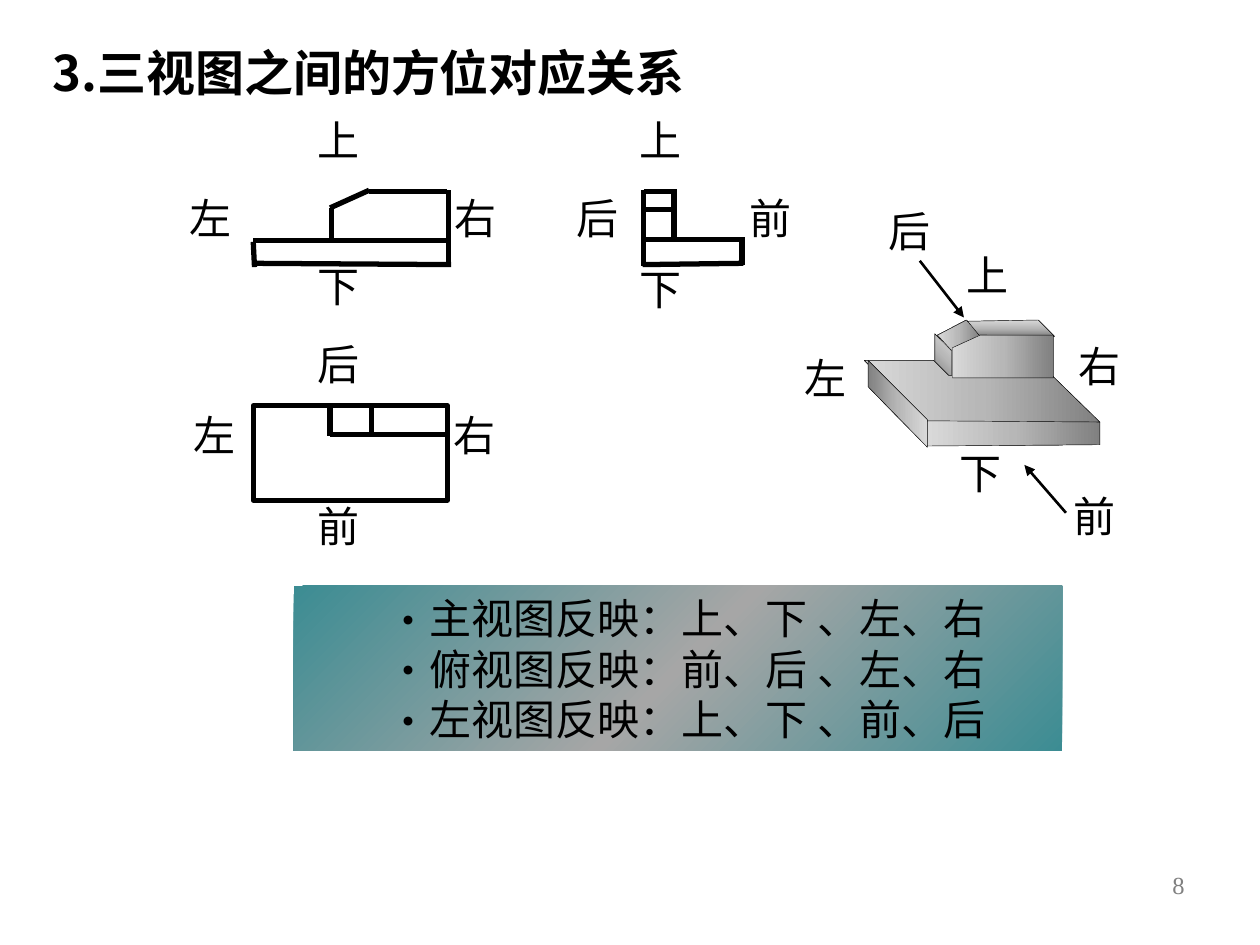
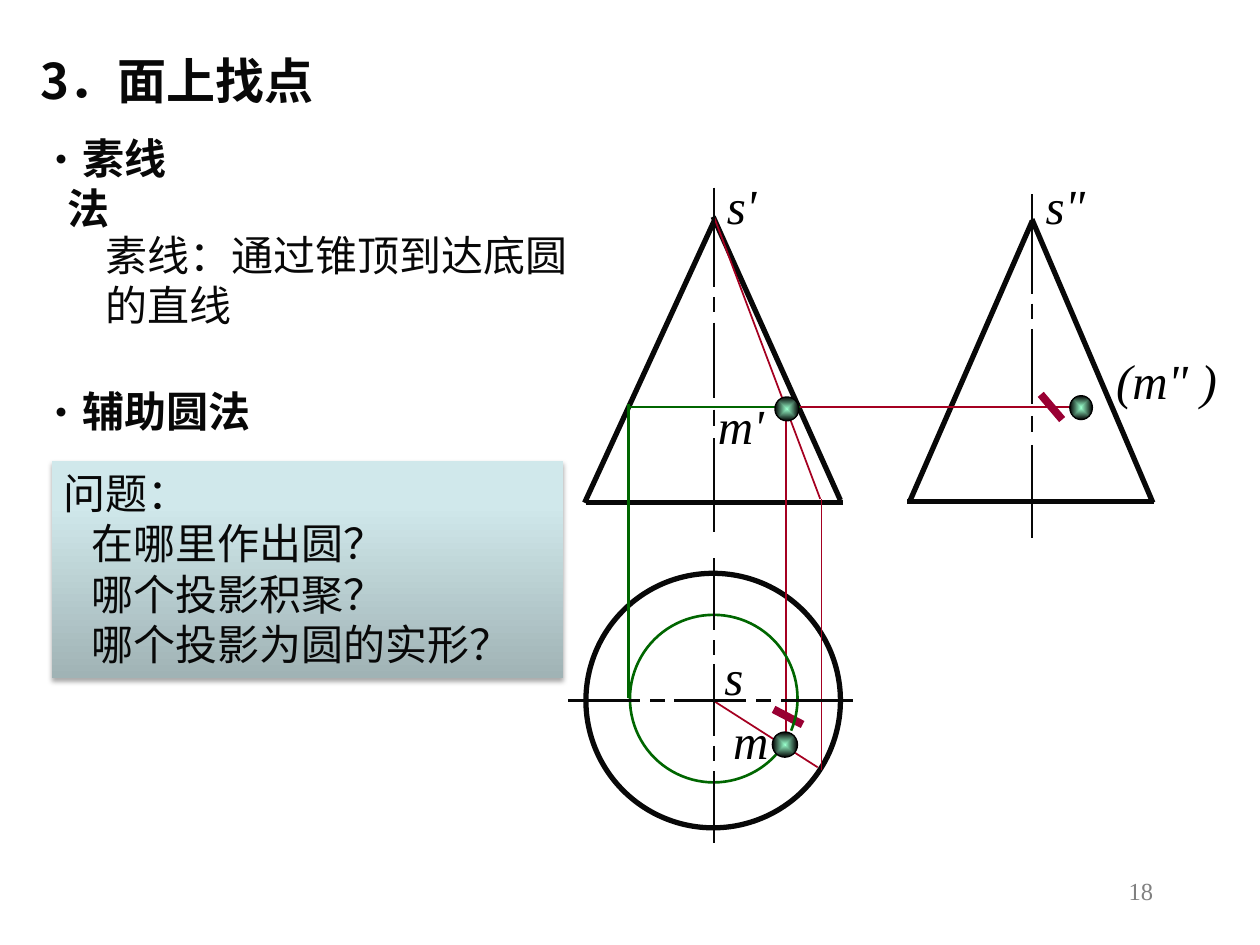
from pptx import Presentation
from pptx.dml.color import RGBColor
from pptx.enum.shapes import MSO_CONNECTOR, MSO_SHAPE
from pptx.enum.text import MSO_ANCHOR, PP_ALIGN
from pptx.oxml import parse_xml
from pptx.oxml.ns import nsdecls, qn
from pptx.util import Inches, Pt

# Shared style
CHINESE, LATIN = "Noto Sans CJK SC", "Times New Roman"
BLACK, INK, GRAY = "000000", "080808", "808080"
RED, MARK_RED, GREEN = "A50021", "990033", "006600"
TEAL_BAND = [(0, "3C8C93"), (50, "A6A6A6"), (100, "3C8C93")]
METAL = [(0, "808080"), (50, "B7B7B7"), (100, "D9D9D9")]
PALE_BLUE = [(0, "A0B3B5"), (80, "D0E8EB"), (100, "D1EAEC")]
BALL = [(0, "99FFCC"), (100, "000000")]

# Slide 1: the three views and the solid
VIEW_TITLE = "3.三视图之间的方位对应关系"
VIEW_SUMMARY = ["主视图反映：上、下 、左、右",
                "俯视图反映：前、后 、左、右",
                "左视图反映：上、下 、前、后"]
DIRECTIONS = [  # word, left, top
    ("上", 2.42, 0.86), ("下", 2.42, 2.02), ("左", 1.41, 1.48), ("右", 3.51, 1.48),
    ("后", 2.42, 2.64), ("前", 2.42, 3.92), ("左", 1.44, 3.2), ("右", 3.5, 3.2),
    ("上", 4.98, 0.86), ("下", 4.98, 2.04), ("后", 4.48, 1.48), ("前", 5.85, 1.48),
    ("上", 7.57, 1.93), ("下", 7.52, 3.5), ("左", 6.29, 2.75), ("右", 8.46, 2.65),
    ("前", 8.42, 3.84), ("后", 6.95, 1.58),
]
TOP_VIEW_FRAME = (2.01, 3.22, 1.54, 0.75)
VIEW_EDGES = [  # x1, y1, x2, y2
    # front view
    (3.58, 2.1, 2.01, 2.09), (2.02, 2.12, 2.01, 1.92), (3.56, 2.1, 3.56, 1.51),
    (3.55, 1.52, 2.93, 1.52), (2.63, 1.92, 2.63, 1.65), (2.62, 1.65, 2.93, 1.51),
    (2.01, 1.91, 3.57, 1.91),
    # top view
    (2.62, 3.45, 3.57, 3.45), (2.62, 3.46, 2.62, 3.23), (2.95, 3.23, 2.95, 3.45),
    # left view
    (5.11, 2.11, 5.11, 1.51), (5.89, 2.1, 5.89, 1.9), (5.11, 1.9, 5.91, 1.9),
    (5.1, 2.1, 5.9, 2.09), (5.11, 1.52, 5.37, 1.52), (5.11, 1.66, 5.37, 1.66),
    (5.35, 1.5, 5.35, 1.9),
]
VIEW_ARROWS = [(7.3, 2.07, 7.65, 2.52), (8.46, 4.07, 8.13, 3.69)]
SOLID_FACES = [  # gradient angle, corners
    (315, [(7.42, 2.65), (7.42, 2.87), (7.55, 3), (7.55, 2.78)]),
    (180, [(7.44, 2.66), (7.67, 2.54), (7.78, 2.66), (7.55, 2.78)]),
    (270, [(7.68, 2.55), (8.24, 2.54), (8.37, 2.67), (7.77, 2.66)]),
    (180, [(7.41, 2.86), (7.53, 2.98), (8.36, 2.99), (8.73, 3.35), (7.35, 3.35),
           (6.86, 2.86)]),
    (180, [(7.56, 2.76), (7.56, 3), (8.36, 3), (8.36, 2.66), (7.78, 2.66)]),
    (0, [(6.89, 2.86), (6.89, 3.07), (7.36, 3.55), (7.36, 3.33)]),
    (180, [(7.36, 3.34), (8.73, 3.35), (8.73, 3.53), (7.36, 3.54)]),
]

# Slide 2: points on a cone
CONE_TITLE = "3．面上找点"
METHODS = [("素线法", 1.2, 1.39), ("辅助圆法", 3.01, 2.31)]  # word, top, width
DEFINITION = "素线：通过锥顶到达底圆的直线"
QUESTIONS = ["问题：", "在哪里作出圆？", "哪个投影积聚？", "哪个投影为圆的实形？"]
BASE_CIRCLE = (4.65, 4.55, 2.02, 2.02)
HELPER_CIRCLE = (5, 4.88, 1.33, 1.33)
HELPER_GAP = (22.5, 34)  # degrees left open in the helper circle
CONE_LINES = [  # colour, width, segments
    (INK, 3, [(4.65, 3.99, 6.69, 3.99), (4.64, 3.99, 5.67, 1.75), (6.67, 3.97, 5.66, 1.72),
              (7.2, 3.98, 9.16, 3.98), (7.22, 3.98, 8.19, 1.76), (9.15, 3.99, 8.19, 1.74)]),
    (RED, 1, [(6.49, 6.09, 5.66, 5.56), (6.52, 6.11, 6.52, 3.96), (6.51, 3.96, 5.67, 1.73),
              (6.24, 5.98, 6.24, 3.21), (6.21, 3.23, 8.61, 3.23)]),
    (MARK_RED, 4.5, [(6.14, 5.63, 6.37, 5.75), (8.26, 3.13, 8.43, 3.33)]),
    (GREEN, 1.5, [(4.99, 5.54, 4.99, 3.21), (4.98, 3.23, 6.35, 3.23)]),
]
POINTS = [(8.49, 3.14, 0.18, 0.19), (6.13, 5.81, 0.2, 0.2), (6.15, 3.15, 0.19, 0.19)]
POINT_NAMES = [  # name, left, top, width
    ("s'", 5.67, 1.34, 0.44), ('s"', 8.2, 1.34, 0.52), ("s", 5.65, 5.08, 0.35),
    ("m", 5.72, 5.59, 0.49), ("m'", 5.6, 3.09, 0.57), ('(m" )', 8.76, 2.73, 1.05),
]
# Centre lines: dash and gap lengths in turn
CIRCLE_DASHES = [0.57, 0.08, 0.12, 0.07, 0.57, 0.08, 0.12, 0.08, 0.57]
CONE_DASHES = [0.79, 0.08, 0.12, 0.08, 0.6, 0.09, 0.13, 0.1, 0.74]
CENTRE_LINES = [  # start x, start y, upright, dashes
    (4.51, 5.56, False, CIRCLE_DASHES), (5.67, 4.43, True, CIRCLE_DASHES),
    (5.67, 1.49, True, CONE_DASHES), (8.19, 1.54, True, CONE_DASHES),
]


def color(value):
    return RGBColor.from_string(value)


def lengths(values):
    return [Inches(value) for value in values]


def indent(para, left, first=0):
    properties = para._p.get_or_add_pPr()
    properties.set("marL", str(Inches(left)))
    properties.set("indent", str(Inches(first)))
    return properties


def add_bullet(para, left, hang):
    properties = indent(para, left, -hang)
    properties.append(parse_xml(f'<a:buFont {nsdecls("a")} typeface="{CHINESE}"/>'))
    properties.append(parse_xml(f'<a:buChar {nsdecls("a")} char="•"/>'))


def write(frame, lines, size, ink, font=CHINESE, bold=False, italic=False,
          align=PP_ALIGN.LEFT, anchor=MSO_ANCHOR.TOP, wrap=True):
    """Fill a text frame with one paragraph per line and return the paragraphs."""
    frame.word_wrap = wrap
    frame.vertical_anchor = anchor
    for number, line in enumerate(lines):
        para = frame.add_paragraph() if number else frame.paragraphs[0]
        para.alignment = align
        if font == CHINESE:
            para.line_spacing = Pt(size * 1.2)
        span = para.add_run()
        span.text = line
        span.font.size, span.font.name = Pt(size), font
        span.font.bold, span.font.italic = bold, italic
        span.font.color.rgb = color(ink)
        east_asian = parse_xml(f'<a:ea {nsdecls("a")} typeface="{font}"/>')
        span._r.get_or_add_rPr().find(qn("a:latin")).addnext(east_asian)
    return frame.paragraphs


def add_text(page, place, line, size, ink, **style):
    box = page.shapes.add_textbox(*lengths(place))
    return write(box.text_frame, [line], size, ink, **style)[0]


def paint(shape, stops=None, angle=None, line=None, width=1):
    """Give a gradient (linear, or from the centre without an angle) and an outline."""
    shape.shadow.inherit = False
    shape.fill.background()
    if stops:
        marks = "".join(f'<a:gs pos="{place * 1000}"><a:srgbClr val="{value}"/></a:gs>'
                        for place, value in stops)
        if angle is None:
            course = ('<a:path path="shape"><a:fillToRect l="50000" t="50000" '
                      'r="50000" b="50000"/></a:path>')
        else:
            course = f'<a:lin ang="{angle * 60000}" scaled="0"/>'
        gradient = parse_xml(f'<a:gradFill {nsdecls("a")} rotWithShape="1">'
                             f'<a:gsLst>{marks}</a:gsLst>{course}</a:gradFill>')
        properties = shape._element.spPr
        properties.replace(properties.find(qn("a:noFill")), gradient)
    if line:
        shape.line.color.rgb = color(line)
        shape.line.width = Pt(width)
    else:
        shape.line.fill.background()


def add_shape(page, kind, place, **look):
    shape = page.shapes.add_shape(kind, *lengths(place))
    paint(shape, **look)
    return shape


def add_line(page, ends, ink, width, arrow=False):
    line = page.shapes.add_connector(MSO_CONNECTOR.STRAIGHT, *lengths(ends))
    line.line.color.rgb = color(ink)
    line.line.width = Pt(width)
    if arrow:
        line.line._get_or_add_ln().append(
            parse_xml(f'<a:tailEnd {nsdecls("a")} type="triangle"/>'))
    line._element.spPr.append(parse_xml(f'<a:effectLst {nsdecls("a")}/>'))


def add_page(deck, title, title_place, title_ink, number, number_place):
    page = deck.slides.add_slide(deck.slide_layouts[6])
    add_text(page, title_place, title, 28, title_ink, bold=True, anchor=MSO_ANCHOR.MIDDLE)
    add_text(page, number_place, number, 14, GRAY, font=LATIN, align=PP_ALIGN.RIGHT)
    return page


def build_views(deck):
    page = add_page(deck, VIEW_TITLE, (0.32, 0.28, 7.84, 0.58), BLACK,
                    "8", (7.17, 6.86, 2.33, 0.5))
    # Summary band
    band = add_shape(page, MSO_SHAPE.RECTANGLE, (2.33, 4.65, 6.1, 1.31),
                     stops=TEAL_BAND, angle=45)
    for para in write(band.text_frame, VIEW_SUMMARY, 24, BLACK, anchor=MSO_ANCHOR.MIDDLE):
        add_bullet(para, 0.93, 0.28)
    # Views
    add_shape(page, MSO_SHAPE.RECTANGLE, TOP_VIEW_FRAME, line=BLACK, width=3)
    for ends in VIEW_EDGES:
        add_line(page, ends, BLACK, 3)
    for word, left, top in DIRECTIONS:
        add_text(page, (left, top, 0.54, 0.5), word, 24, BLACK, wrap=False)
    # Solid
    for ends in VIEW_ARROWS:
        add_line(page, ends, BLACK, 1.5, arrow=True)
    for angle, corners in SOLID_FACES:
        start, *others = [lengths(corner) for corner in corners]
        outline = page.shapes.build_freeform(*start)
        outline.add_line_segments(others, close=True)
        paint(outline.convert_to_shape(), METAL, angle, BLACK, 0.25)


def build_cone(deck):
    page = add_page(deck, CONE_TITLE, (0.22, 0.35, 3.27, 0.57), INK,
                    "18", (7.17, 6.9, 2.08, 0.5))
    # Methods
    for word, top, width in METHODS:
        para = add_text(page, (0.22, top, width, 0.5), word, 24, INK, bold=True,
                        anchor=MSO_ANCHOR.MIDDLE)
        add_bullet(para, 0.22, 0.22)
    add_text(page, (0.74, 1.77, 3.98, 0.91), DEFINITION, 24, INK)
    # Question panel with its shadow
    panel = add_shape(page, MSO_SHAPE.RECTANGLE, (0.41, 3.66, 4.06, 1.72),
                      stops=PALE_BLUE, angle=270)
    panel._element.spPr.find(qn("a:effectLst")).append(parse_xml(
        f'<a:outerShdw {nsdecls("a")} blurRad="{Pt(3.1)}" dist="{Pt(1.8)}" dir="5400000" '
        'rotWithShape="0"><a:srgbClr val="000000"><a:alpha val="35000"/></a:srgbClr>'
        '</a:outerShdw>'))
    for para in write(panel.text_frame, QUESTIONS, 24, INK)[1:]:
        indent(para, 0.22)
    # Cone and construction lines
    add_shape(page, MSO_SHAPE.OVAL, BASE_CIRCLE, line=INK, width=3)
    for ink, width, segments in CONE_LINES:
        for ends in segments:
            add_line(page, ends, ink, width)
    helper = add_shape(page, MSO_SHAPE.ARC, HELPER_CIRCLE, line=GREEN, width=1.5)
    gap_start, gap_end = HELPER_GAP
    helper.adjustments[0] = gap_end * 0.6  # 60000 units a degree, over 100000
    helper.adjustments[1] = gap_start * 0.6
    # Points and their names
    for place in POINTS:
        add_shape(page, MSO_SHAPE.OVAL, place, stops=BALL, line=BLACK, width=0.75)
    for name, left, top, width in POINT_NAMES:
        add_text(page, (left, top, width, 0.57), name, 28, BLACK, font=LATIN,
                 italic=True, wrap=False)
    # Centre lines
    for x, y, upright, dashes in CENTRE_LINES:
        for number, length in enumerate(dashes):
            end_x, end_y = (x, y + length) if upright else (x + length, y)
            if number % 2 == 0:
                add_line(page, (x, y, end_x, end_y), INK, 1.2)
            x, y = end_x, end_y


def main():
    deck = Presentation()
    deck.slide_width, deck.slide_height = Inches(10), Inches(7.5)
    build_views(deck)
    build_cone(deck)
    deck.save("out.pptx")


if __name__ == "__main__":
    main()
